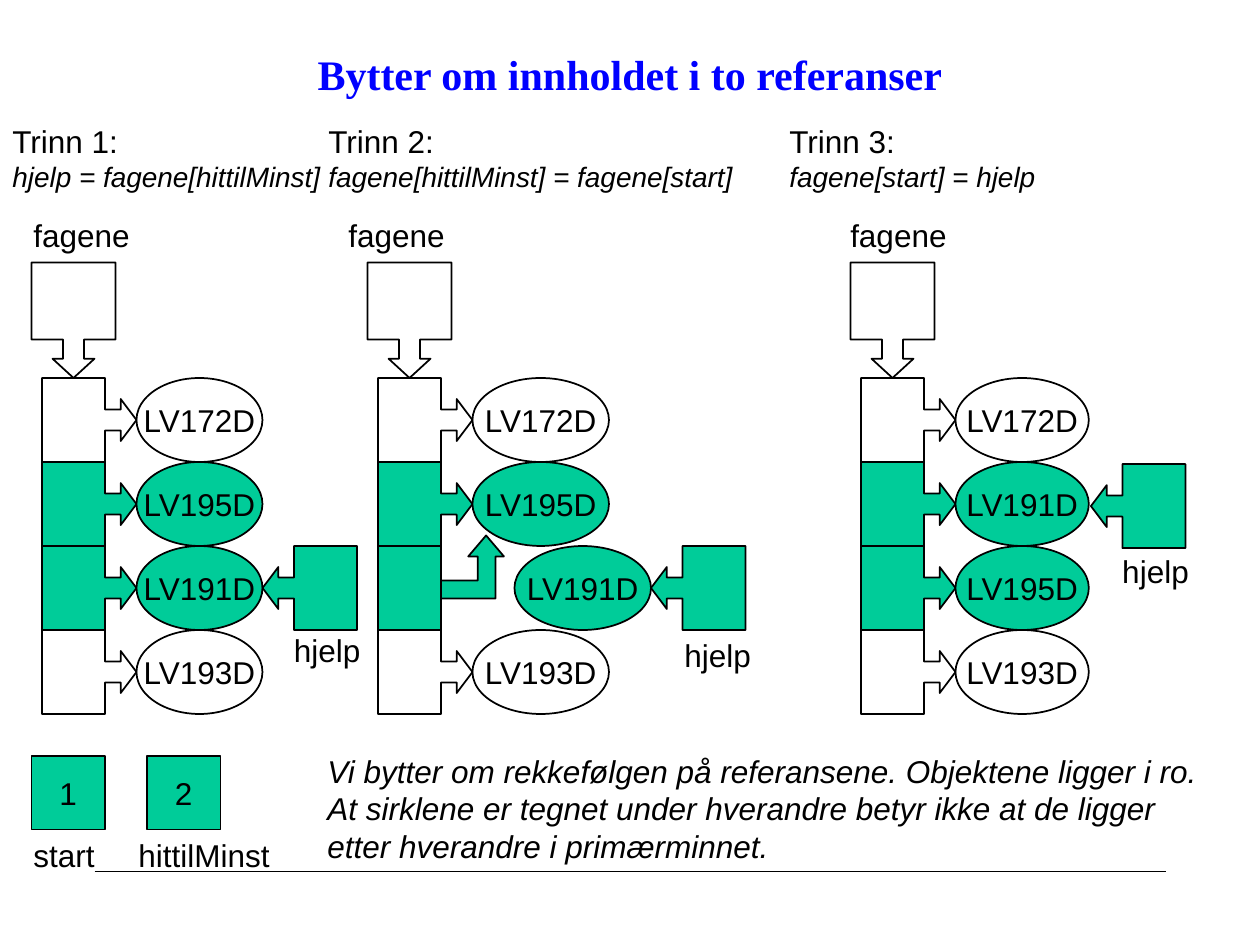
from dataclasses import dataclass

from lxml import etree
from pptx import Presentation
from pptx import util as u
from pptx.dml.color import RGBColor
from pptx.enum import shapes, text
from pptx.oxml.ns import qn


@dataclass(frozen=True)
class Theme:
    ink: RGBColor = RGBColor(0, 0, 0)
    mark: RGBColor = RGBColor(0x00, 0xCC, 0x99)
    head: RGBColor = RGBColor(0, 0, 0xFF)
    font: str = "Arial"
    serif: str = "Times New Roman"
    title: int = 24
    body: int = 18
    code: int = 16


T = Theme()
PX = 7620
KIND = shapes.MSO_SHAPE

TITLE = "Bytter om innholdet i to referanser"
NOTE = [
    "Vi bytter om rekkefølgen på referansene. Objektene ligger i ro. "
    "At sirklene er tegnet under hverandre betyr ikke at de ligger",
    "etter hverandre i primærminnet.",
]
STEPS = [
    dict(name="Trinn 1:", code="hjelp = fagene[hittilMinst]", head=(0, 330),
         x=40, label=20, wide=120, shift=0,
         items=["LV172D", "LV195D", "LV191D", "LV193D"],
         help=(250, 520), tag=(268, 595)),
    dict(name="Trinn 2:", code="fagene[hittilMinst] = fagene[start]", head=(301, 420),
         x=360, label=320, wide=130, shift=40,
         items=["LV172D", "LV195D", "LV191D", "LV193D"],
         help=(620, 520), tag=(640, 600)),
    dict(name="Trinn 3:", code="fagene[start] = hjelp", head=(740, 270),
         x=820, label=798, wide=127, shift=0,
         items=["LV172D", "LV191D", "LV195D", "LV193D"],
         help=(1039, 442), tag=(1057, 520)),
]
KEYS = [("1", 30, "start", 20, 95), ("2", 140, "hittilMinst", 120, 160)]
BEND = [(420, 553), (455, 553), (455, 530), (446, 530), (463, 510),
        (480, 530), (472, 530), (472, 570), (420, 570)]
TOP, ROW, CELL, REACH = 360, 80, 60, 90
SWAP = (1, 2)

deck = Presentation()
deck.slide_width, deck.slide_height = 1200 * PX, 900 * PX
slide = deck.slides.add_slide(deck.slide_layouts[6])


def emu(*nums):
    return [u.Emu(round(n * PX)) for n in nums]


def style(font, size=T.body, name=T.font, color=T.ink):
    font.size, font.name = u.Pt(size), name
    font.color.rgb = color


def paint(shape, full):
    shape.shadow.inherit = False
    if full:
        shape.fill.solid()
        shape.fill.fore_color.rgb = T.mark
    else:
        shape.fill.background()
    shape.line.color.rgb = T.ink
    shape.line.width = u.Pt(1)


def draw(kind, x, y, w, h, full=False, words=""):
    shape = slide.shapes.add_shape(kind, *emu(x, y, w, h))
    paint(shape, full)
    if words:
        frame = shape.text_frame
        frame.word_wrap = False
        frame.vertical_anchor = text.MSO_ANCHOR.MIDDLE
        para = frame.paragraphs[0]
        para.text, para.alignment = words, text.PP_ALIGN.CENTER
        style(para.font)
    return shape


def callout(kind, x, y, w, h, turn, neck, full=False):
    shape = draw(kind, x + (w - h) / 2, y + (h - w) / 2, h, w, full)
    shape.rotation = turn
    for i, val in enumerate((0.25, 0.25, neck, 0.667)):
        shape.adjustments[i] = val


def arrow(x, y, turn, full):
    callout(KIND.DOWN_ARROW_CALLOUT, x, y, REACH, ROW, turn, 0.188, full)


def write(lines, x, y, w, h=48):
    frame = slide.shapes.add_textbox(*emu(x, y, w, h)).text_frame
    frame.word_wrap = True
    for i, line in enumerate(lines):
        para = frame.add_paragraph() if i else frame.paragraphs[0]
        para.text = line
        style(para.font)
    return frame


def heading(step):
    x, w = step["head"]
    para = write([step["name"]], x, 110, w, 80).paragraphs[0]
    para.add_line_break()
    run = para.add_run()
    run.text = step["code"]
    run.font.size, run.font.italic = u.Pt(T.code), True


def bend():
    pts = [(x * PX, y * PX) for x, y in BEND]
    form = slide.shapes.build_freeform(*pts[0])
    form.add_line_segments(pts[1:], close=True)
    paint(form.convert_to_shape(), True)


def diagram(step):
    x = step["x"]
    heading(step)
    write(["fagene"], step["label"], 200, 130)
    callout(KIND.RIGHT_ARROW_CALLOUT, x - 10, 250, 80, 110, 90, 0.229)
    rows = [(TOP + i * ROW, i in SWAP, step["shift"] if i == 2 else 0, item)
            for i, item in enumerate(step["items"])]
    for y, full, shift, _ in rows:
        if shift:
            bend()
            draw(KIND.RECTANGLE, x, y, CELL, ROW, full)
        else:
            arrow(x, y, 270, full)
    for y, full, shift, item in rows:
        draw(KIND.OVAL, x + REACH + shift, y, step["wide"], ROW, full, item)
    arrow(*step["help"], 90, True)
    write(["hjelp"], *step["tag"], 100)


rule = slide.shapes.add_connector(shapes.MSO_CONNECTOR.STRAIGHT, *emu(90, 830, 1110, 830))
rule.line.color.rgb, rule.line.width = T.ink, u.Pt(0.75)
etree.SubElement(rule.element.spPr, qn("a:effectLst"))

frame = write([TITLE], 90, 20, 1020, 100)
frame.vertical_anchor = text.MSO_ANCHOR.MIDDLE
para = frame.paragraphs[0]
para.alignment = text.PP_ALIGN.CENTER
style(para.font, T.title, T.serif, T.head)
para.font.bold = True

for step in STEPS:
    diagram(step)

for mark, x, name, left, wide in KEYS:
    draw(KIND.RECTANGLE, x, 720, 70, 70, True, mark)
    write([name], left, 790, wide)

for para in write(NOTE, 300, 710, 872, 120).paragraphs:
    para.font.italic = True

deck.save("out.pptx")
